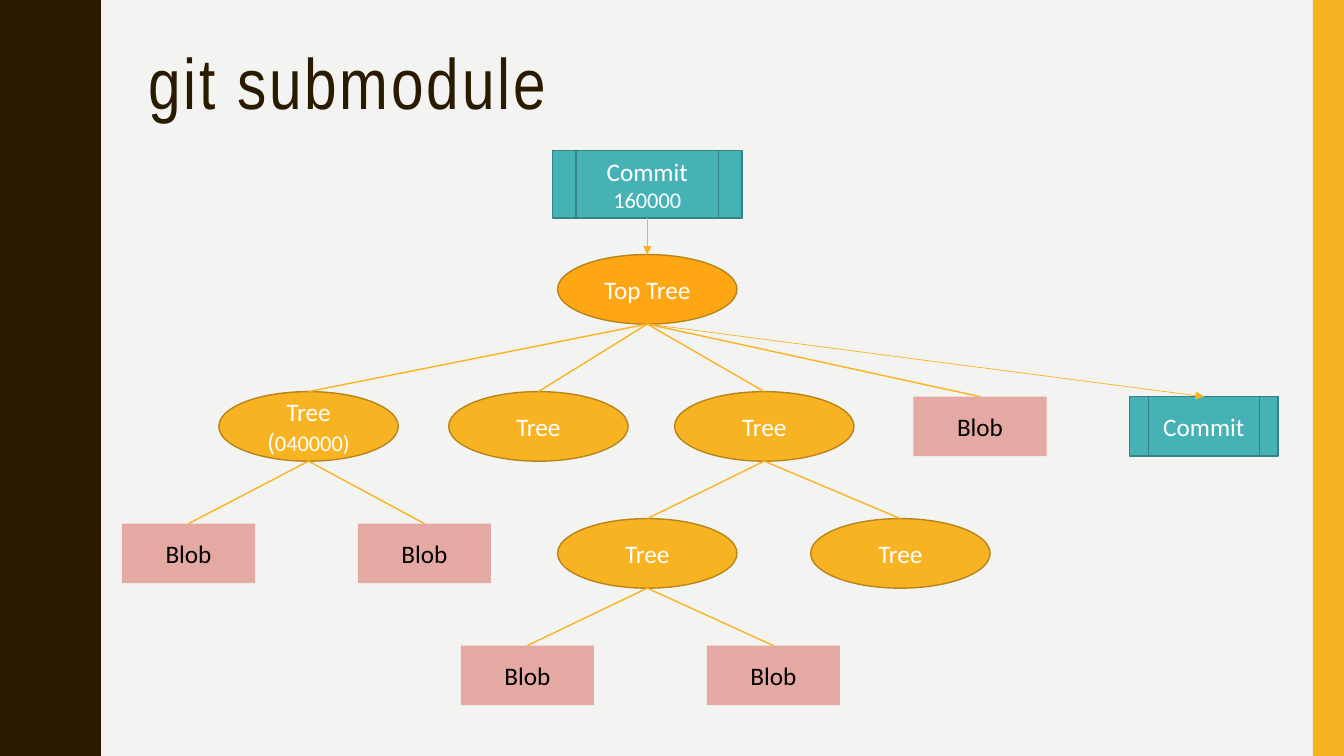
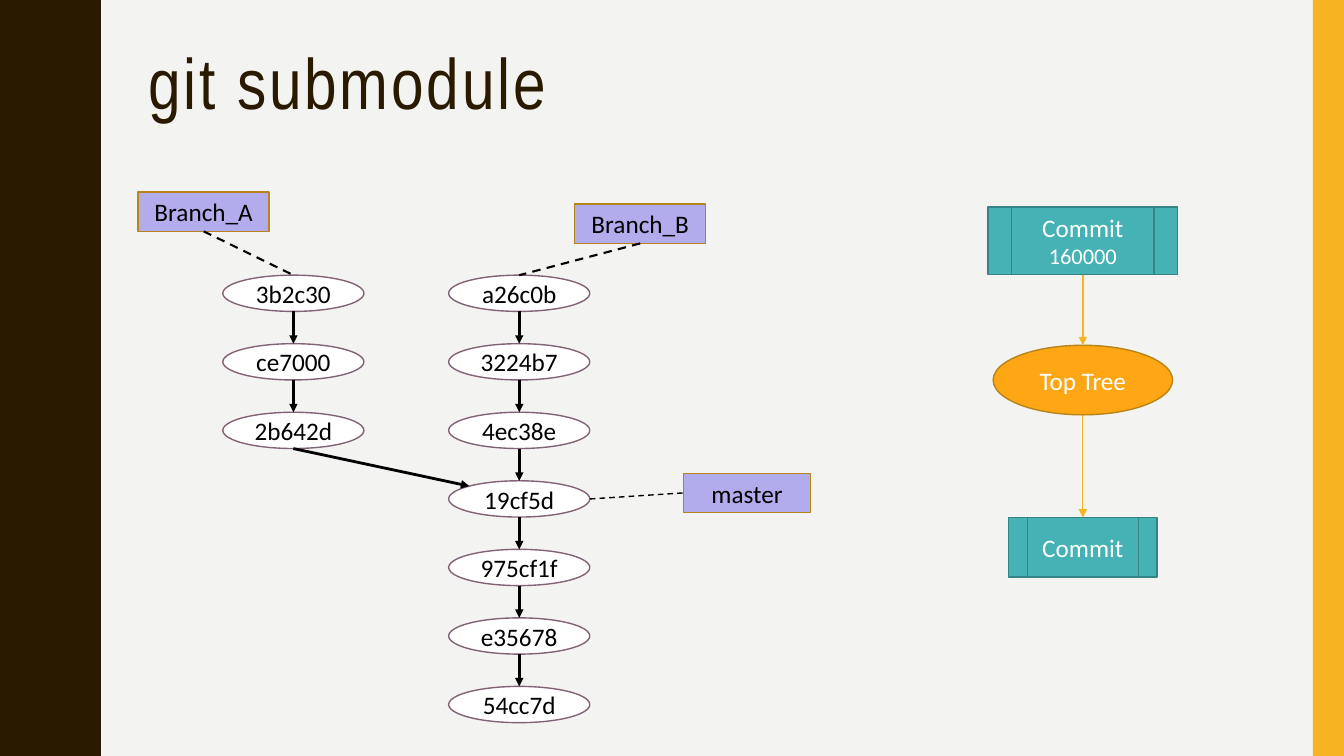
from pptx import Presentation
from pptx import util as u
from pptx.dml.color import RGBColor
from pptx.enum import dml, shapes, text
from pptx.oxml.ns import qn
from lxml import etree

WIDTH, HEIGHT = 13.33, 7.5
PAPER = RGBColor(0xF3, 0xF3, 0xF2)
BROWN = RGBColor(0x2A, 0x1A, 0x00)
GOLD = RGBColor(0xF8, 0xB3, 0x23)
ORANGE = RGBColor(0xFF, 0xA6, 0x15)
OCHRE = RGBColor(0xB7, 0x84, 0x1A)
ROSE = RGBColor(0xE5, 0xA9, 0xA4)
TEAL = RGBColor(0x46, 0xB2, 0xB5)
DARK_TEAL = RGBColor(0x34, 0x84, 0x86)
LILAC = RGBColor(0xB2, 0xAC, 0xED)
PLUM = RGBColor(0x82, 0x62, 0x76)
WHITE = RGBColor(0xFF, 0xFF, 0xFF)
BLACK = RGBColor(0x00, 0x00, 0x00)

RECT = shapes.MSO_SHAPE.RECTANGLE
OVAL = shapes.MSO_SHAPE.OVAL
PROCESS = shapes.MSO_SHAPE.FLOWCHART_PREDEFINED_PROCESS
TOP, LEFT, BOTTOM, RIGHT = range(4)

KINDS = {
    "commit": (PROCESS, 1.88, 0.67, TEAL, DARK_TEAL, WHITE),
    "subcommit": (PROCESS, 1.47, 0.59, TEAL, DARK_TEAL, WHITE),
    "top": (OVAL, 1.78, 0.69, ORANGE, OCHRE, WHITE),
    "tree": (OVAL, 1.78, 0.69, GOLD, OCHRE, WHITE),
    "blob": (RECT, 1.32, 0.59, ROSE, None, BLACK),
    "hash": (OVAL, 1.4, 0.36, WHITE, PLUM, BLACK),
    "branch": (RECT, 1.3, 0.39, LILAC, OCHRE, BLACK),
    "master": (RECT, 1.26, 0.39, LILAC, OCHRE, BLACK),
}
LINES = {
    "plain": (GOLD, 1, False, False),
    "arrow": (GOLD, 1, False, True),
    "thin": (GOLD, 0.5, False, True),
    "history": (BLACK, 2, False, True),
    "pointer": (BLACK, 1.5, True, False),
    "fine": (BLACK, 1, True, False),
}

TITLE = "git submodule"
COMMIT = [[("Commit", 18)], [("160000", 16)]]
TREE_MODE = [[("Tree (", 18), ("040000)", 16)]]
ROWS = [1.83, 2.87, 4.23, 5.49, 6.7]

TREE_NODES = {
    "commit": ("commit", COMMIT, 6.42, ROWS[0]),
    "top": ("top", "Top Tree", 6.42, ROWS[1]),
    "tree1": ("tree", TREE_MODE, 3.06, ROWS[2]),
    "tree2": ("tree", "Tree", 5.34, ROWS[2]),
    "tree3": ("tree", "Tree", 7.58, ROWS[2]),
    "blob1": ("blob", "Blob", 9.72, ROWS[2]),
    "sub": ("subcommit", "Commit", 11.94, ROWS[2]),
    "blob2": ("blob", "Blob", 1.87, ROWS[3]),
    "blob3": ("blob", "Blob", 4.21, ROWS[3]),
    "tree4": ("tree", "Tree", 6.42, ROWS[3]),
    "tree5": ("tree", "Tree", 8.93, ROWS[3]),
    "blob4": ("blob", "Blob", 5.23, ROWS[4]),
    "blob5": ("blob", "Blob", 7.67, ROWS[4]),
}
CHILDREN = {
    "top": ["tree1", "tree2", "tree3", "blob1"],
    "tree1": ["blob2", "blob3"],
    "tree3": ["tree4", "tree5"],
    "tree4": ["blob4", "blob5"],
}
TREE_LINKS = [(parent, child, "plain")
              for parent, kids in CHILDREN.items() for child in kids]
TREE_LINKS += [("commit", "top", "arrow"), ("top", "sub", "thin")]

FIRST_HASH, HASH_PITCH = 2.91, 0.68
HISTORIES = [
    (2.91, ["3b2c30", "ce7000", "2b642d"]),
    (5.15, ["a26c0b", "3224b7", "4ec38e", "19cf5d",
            "975cf1f", "e35678", "54cc7d"]),
]
BRANCH_NODES = {
    "Branch_A": ("branch", "Branch_A", 2.02, 2.1),
    "Branch_B": ("branch", "Branch_B", 6.35, 2.22),
    "master": ("master", "master", 7.41, 4.89),
    "commit": ("commit", COMMIT, 10.74, 2.39),
    "top": ("top", "Top Tree", 10.74, 3.77),
    "sub": ("subcommit", "Commit", 10.74, 5.43),
}
BRANCH_LINKS = [
    ("Branch_A", "3b2c30", "pointer"),
    ("Branch_B", "a26c0b", "pointer"),
    ("commit", "top", "arrow"),
    ("top", "sub", "thin"),
]
for x, names in HISTORIES:
    for i, name in enumerate(names):
        BRANCH_NODES[name] = ("hash", name, x, FIRST_HASH + i * HASH_PITCH)
    BRANCH_LINKS += [(a, b, "history") for a, b in zip(names, names[1:])]

HALF_WAVE = [(0.78, 0), (0.78, 0.07), (0.79, 0.14), (0.8, 0.2), (0.81, 0.25),
             (0.83, 0.29), (0.85, 0.33), (0.87, 0.38), (0.89, 0.42),
             (0.91, 0.46), (0.93, 0.5), (0.95, 0.55), (0.96, 0.61),
             (0.97, 0.68), (0.97, 0.75)]
WAVES = 5
WAVE_HEIGHT = HEIGHT / WAVES


def write(tf, paragraphs, font="Calibri", size=18, color=BLACK,
          align=text.PP_ALIGN.CENTER, anchor=text.MSO_ANCHOR.MIDDLE,
          spacing=None, tracking=None):
    tf.word_wrap = True
    tf.vertical_anchor = anchor
    if isinstance(paragraphs, str):
        paragraphs = [[(paragraphs, size)]]
    for i, runs in enumerate(paragraphs):
        p = tf.add_paragraph() if i else tf.paragraphs[0]
        p.alignment = align
        p.line_spacing = spacing
        for words, points in runs:
            r = p.add_run()
            r.text = words
            r.font.name, r.font.size = font, u.Pt(points)
            r.font.color.rgb = color
            if tracking:
                r.font._element.set("spc", str(tracking * 100))


def paint(sp, fill, line=None):
    sp.shadow.inherit = False
    sp.fill.solid()
    sp.fill.fore_color.rgb = fill
    if line is None:
        sp.line.fill.background()
    else:
        sp.line.color.rgb = line
        sp.line.width = u.Pt(1)


def add_node(s, kind, words, x, y):
    preset, w, h, fill, line, color = KINDS[kind]
    sp = s.shapes.add_shape(preset, u.Inches(x - w / 2), u.Inches(y - h / 2),
                            u.Inches(w), u.Inches(h))
    paint(sp, fill, line)
    write(sp.text_frame, words, color=color)
    return sp


def set_site(c, tag, sp, site):
    if sp.auto_shape_type == OVAL:
        c._element.find(".//" + qn(tag)).set("idx", str(site * 2))


def add_link(s, style, start, end, start_site=BOTTOM, end_site=TOP,
             end_point=(0, 0)):
    color, width, dashed, arrow = LINES[style]
    c = s.shapes.add_connector(shapes.MSO_CONNECTOR.STRAIGHT, 0, 0, *end_point)
    c.begin_connect(start, start_site)
    set_site(c, "a:stCxn", start, start_site)
    if end is not None:
        c.end_connect(end, end_site)
        set_site(c, "a:endCxn", end, end_site)
    c.line.color.rgb = color
    c.line.width = u.Pt(width)
    if dashed:
        c.line.dash_style = dml.MSO_LINE.DASH
    if arrow:
        etree.SubElement(c.line._get_or_add_ln(), qn("a:tailEnd"),
                         type="triangle")
    etree.SubElement(c._element.spPr, qn("a:effectLst"))


def add_diagram(s, nodes, links):
    boxes = {name: add_node(s, *node) for name, node in nodes.items()}
    for start, end, style in links:
        add_link(s, style, boxes[start], boxes[end])
    return boxes


def add_master_bands(prs, s):
    cycle = HALF_WAVE + [(x, WAVE_HEIGHT - y) for x, y in HALF_WAVE[-2:0:-1]]
    edge = [(x, y + k * WAVE_HEIGHT) for k in range(WAVES) for x, y in cycle]
    edge += [(HALF_WAVE[0][0], HEIGHT), (0, HEIGHT)]
    builder = s.shapes.build_freeform(0, 0, scale=u.Inches(1))
    builder.add_line_segments(edge, close=True)
    wave = builder.convert_to_shape()
    paint(wave, BROWN)
    band = s.shapes.add_shape(RECT, u.Inches(13.02), 0,
                              u.Inches(WIDTH - 13.02), u.Inches(HEIGHT))
    paint(band, GOLD)
    tree = prs.slide_master.shapes._spTree
    for i, sp in enumerate((wave, band)):
        tree.insert(2 + i, sp._element)


def add_slide(prs, layout):
    s = prs.slides.add_slide(layout)
    write(s.shapes.title.text_frame, TITLE, font="Arial Narrow", size=51,
          color=BROWN, align=text.PP_ALIGN.LEFT, anchor=text.MSO_ANCHOR.TOP,
          spacing=0.9, tracking=2)
    return s


def main():
    prs = Presentation()
    prs.slide_width, prs.slide_height = u.Inches(WIDTH), u.Inches(HEIGHT)
    fill = prs.slide_master.background.fill
    fill.solid()
    fill.fore_color.rgb = PAPER
    layout = prs.slide_layouts.get_by_name("Title Only")
    title = layout.placeholders[0]
    title.left, title.top = u.Inches(1.37), u.Inches(0.42)
    title.width, title.height = u.Inches(11.13), u.Inches(1.63)

    s = add_slide(prs, layout)
    add_master_bands(prs, s)
    add_diagram(s, TREE_NODES, TREE_LINKS)

    s = add_slide(prs, layout)
    boxes = add_diagram(s, BRANCH_NODES, BRANCH_LINKS)
    merge = boxes["19cf5d"]
    add_link(s, "fine", merge, boxes["master"], RIGHT, LEFT)
    inset = (1 - 0.5 ** 0.5) / 2
    corner = (int(merge.left + merge.width * inset),
              int(merge.top + merge.height * inset))
    add_link(s, "history", boxes["2b642d"], None, end_point=corner)

    prs.save("out.pptx")


if __name__ == "__main__":
    main()
